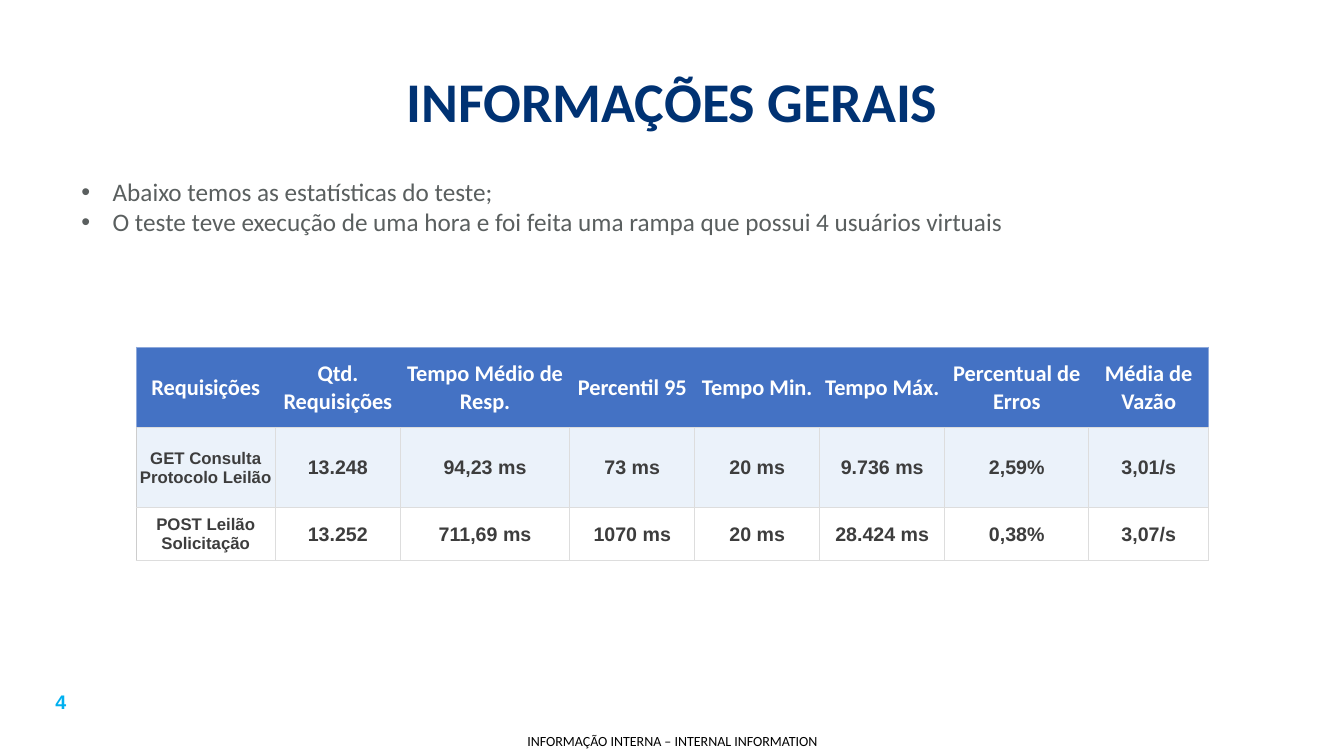
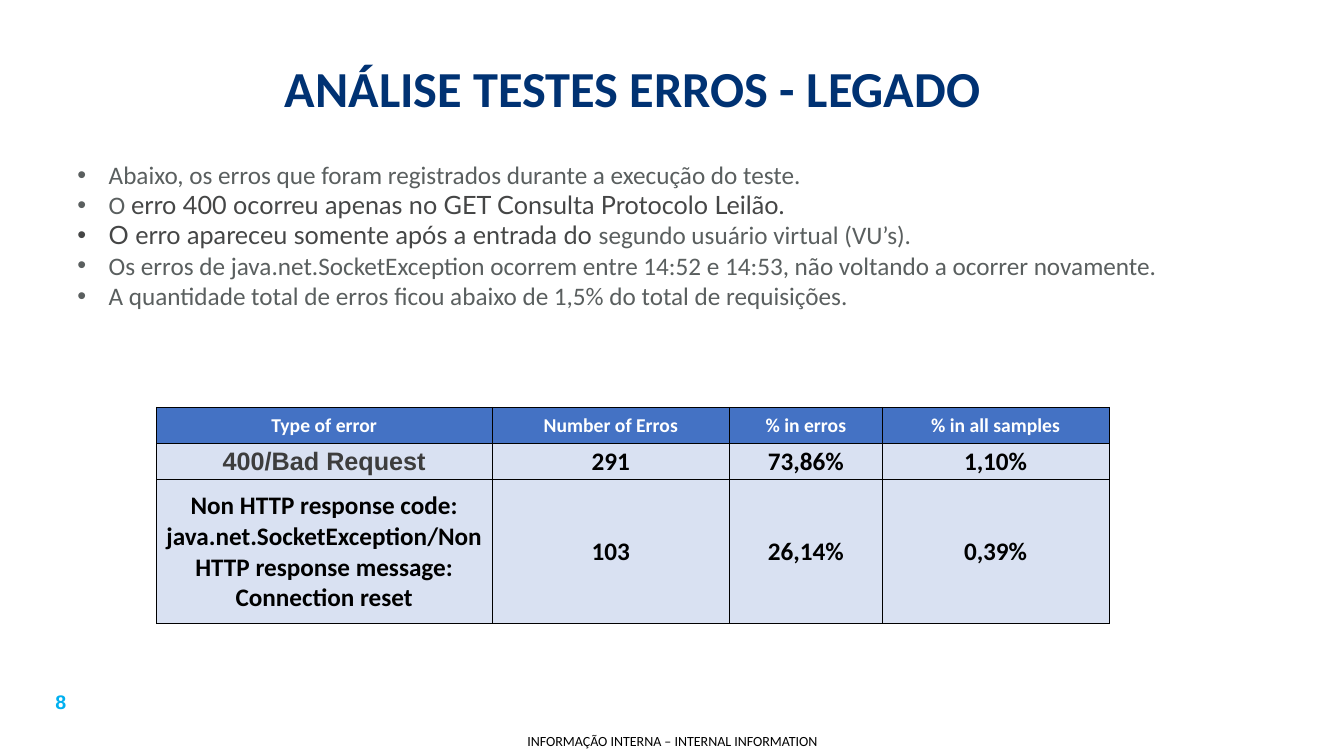
"""Builds two load-test report slides with bullets and result tables."""
from lxml.etree import SubElement
from pptx import Presentation
from pptx.dml.color import RGBColor
from pptx.enum.text import MSO_ANCHOR, MSO_AUTO_SIZE, PP_ALIGN
from pptx.oxml.ns import qn
from pptx.util import Cm, Pt

CENTER, LEFT = PP_ALIGN.CENTER, PP_ALIGN.LEFT
TOP, MIDDLE = MSO_ANCHOR.TOP, MSO_ANCHOR.MIDDLE
GROW, FIXED = MSO_AUTO_SIZE.SHAPE_TO_FIT_TEXT, MSO_AUTO_SIZE.NONE

WHITE = RGBColor(0xFF, 0xFF, 0xFF)
BLACK = RGBColor(0x00, 0x00, 0x00)
NAVY = RGBColor(0x00, 0x32, 0x73)
CYAN = RGBColor(0x00, 0xB0, 0xF0)
GRAY = RGBColor(0x5A, 0x5F, 0x5F)
DARK_GRAY = RGBColor(0x45, 0x46, 0x46)
CHARCOAL = RGBColor(0x3D, 0x3D, 0x3D)
HEADER_BLUE = RGBColor(0x44, 0x72, 0xC4)
EDGE_BLUE = RGBColor(0x8E, 0xA9, 0xDB)
PALE_BLUE = RGBColor(0xEB, 0xF2, 0xFA)
LIGHT_BLUE = RGBColor(0xD9, 0xE1, 0xF2)
GRID_GRAY = RGBColor(0xDD, 0xDD, 0xDD)
LEFT_GRAY = RGBColor(0xCD, 0xCD, 0xCD)


def font_style(name, size, color, bold=False):
    """Return the format values of one kind of text."""
    return {"name": name, "size": Pt(size), "color": color, "bold": bold}


PAGE_NUMBER = font_style("Arial", 14, CYAN, True)
FOOTER = font_style("Calibri", 10, BLACK)
BODY = font_style("Calibri", 18, GRAY)
BODY_LATO = font_style("Lato", 18, DARK_GRAY)
STATS_HEADER = font_style("Calibri", 16, WHITE, True)
STATS_LABEL = font_style("Arial", 12, CHARCOAL, True)
STATS_VALUE = font_style("Arial", 14, CHARCOAL, True)
ERROR_HEADER = font_style("Calibri", 14, WHITE, True)
ERROR_LABEL = font_style("Arial", 18, CHARCOAL, True)
ERROR_VALUE = font_style("Calibri", 18, BLACK, True)

FOOTER_TEXT = "INFORMAÇÃO INTERNA – INTERNAL INFORMATION"
PAGE_NUMBER_BOX = (0.53, 17.27, 2.01, 0.86)
FOOTER_BOX = (12.78, 18.31, 8.33, 0.74)

SLIDES = [
    {
        "number": "4",
        "title": "INFORMAÇÕES GERAIS",
        "title_size": 40,
        "title_box": (9.37, 1.24, 15.14, 2.57),
        "bullets_box": (1.8, 4.32, 30.48, 1.8),
        "bullets": [
            [("Abaixo temos as estatísticas do teste;", BODY)],
            [("O teste teve execução de uma hora e foi feita uma rampa que "
              "possui 4 usuários virtuais", BODY)],
        ],
        "table": {
            "corner": (3.43, 8.74),
            "widths": (3.51, 3.15, 4.27, 3.15, 3.15, 3.15, 3.63, 3.02),
            "heights": (2.03, 2.01, 1.35),
            "grid": (GRID_GRAY, 1),
            "left_edge": (LEFT_GRAY, 1),
            "header_edge": (EDGE_BLUE, 0.5),
            "rows": [
                (HEADER_BLUE, STATS_HEADER, STATS_HEADER,
                 ("Requisições", "Qtd. Requisições", "Tempo Médio de Resp.",
                  "Percentil 95", "Tempo Min.", "Tempo Máx.",
                  "Percentual de Erros", "Média de Vazão")),
                (PALE_BLUE, STATS_LABEL, STATS_VALUE,
                 ("GET Consulta Protocolo Leilão", "13.248", "94,23 ms",
                  "73 ms", "20 ms", "9.736 ms", "2,59%", "3,01/s")),
                (WHITE, STATS_LABEL, STATS_VALUE,
                 ("POST Leilão Solicitação", "13.252", "711,69 ms",
                  "1070 ms", "20 ms", "28.424 ms", "0,38%", "3,07/s")),
            ],
        },
    },
    {
        "number": "8",
        "title": "ANÁLISE TESTES ERROS - LEGADO",
        "title_size": 36,
        "title_box": (6.35, 0.91, 19.2, 2.57),
        "bullets_box": (1.7, 3.89, 30.48, 4.88),
        "bullets": [
            [("Abaixo, os erros que foram registrados durante a execução do "
              "teste.", BODY)],
            [("O ", BODY),
             ("erro 400 ocorreu apenas no GET Consulta Protocolo Leilão.",
              BODY_LATO)],
            [("O erro apareceu somente após a entrada do ", BODY_LATO),
             ("segundo usuário virtual (VU’s).", BODY)],
            [("Os erros de java.net.SocketException ocorrem entre 14:52 e "
              "14:53, não voltando a ocorrer novamente.", BODY)],
            [("A quantidade total de erros ficou abaixo de 1,5% do total de "
              "requisições.", BODY)],
        ],
        "table": {
            "corner": (3.94, 10.26),
            "widths": (8.46, 5.99, 3.84, 5.72),
            "heights": (0.91, 0.91, 3.63),
            "grid": (BLACK, 0.5),
            "rows": [
                (HEADER_BLUE, ERROR_HEADER, ERROR_HEADER,
                 ("Type of error", "Number of Erros", "% in erros",
                  "% in all samples")),
                (LIGHT_BLUE, ERROR_LABEL, ERROR_VALUE,
                 ("400/Bad Request", "291", "73,86%", "1,10%")),
                (LIGHT_BLUE, ERROR_VALUE, ERROR_VALUE,
                 ("Non HTTP response code: java.net.SocketException/Non HTTP "
                  "response message: Connection reset",
                  "103", "26,14%", "0,39%")),
            ],
        },
    },
]


def add_run(paragraph, text, style):
    """Add text to a paragraph in the given style."""
    run = paragraph.add_run()
    run.text = text
    for key, value in style.items():
        if key == "color":
            run.font.color.rgb = value
        else:
            setattr(run.font, key, value)


def add_text(slide, box, paragraphs, align=CENTER, anchor=TOP, size_mode=GROW,
             inset=None, bulleted=False):
    """Add a text box whose paragraphs are lists of (text, style) runs."""
    frame = slide.shapes.add_textbox(*map(Cm, box)).text_frame
    layout = {"word_wrap": True, "auto_size": size_mode,
              "vertical_anchor": anchor}
    if inset is not None:
        for side in ("left", "top", "right", "bottom"):
            layout[f"margin_{side}"] = Cm(inset)
    for key, value in layout.items():
        setattr(frame, key, value)
    for index, runs in enumerate(paragraphs):
        paragraph = frame.add_paragraph() if index else frame.paragraphs[0]
        paragraph.alignment = align
        if bulleted:
            add_bullet(paragraph)
        for text, style in runs:
            add_run(paragraph, text, style)


def add_bullet(paragraph):
    """Give a paragraph a round bullet with a hanging indent."""
    properties = paragraph._p.get_or_add_pPr()
    indent = Cm(0.79)
    properties.set("marL", str(int(indent)))
    properties.set("indent", str(-int(indent)))
    SubElement(properties, qn("a:buFont"), typeface="Arial")
    SubElement(properties, qn("a:buChar"), char="•")


def cell_edges(table_data, row, column):
    """Return the line of each side of a cell, None for no line."""
    grid = table_data["grid"]
    edges = dict.fromkeys("LRTB", grid)
    header_edge = table_data.get("header_edge")
    last = len(table_data["widths"]) - 1
    if row == 0 and header_edge:
        edges.update(L=header_edge if column == 0 else None,
                     R=header_edge if column == last else None,
                     T=header_edge)
    elif column == 0:
        edges["L"] = table_data.get("left_edge", grid)
    return edges


def draw_edges(cell, edges):
    """Write the border lines of a cell."""
    properties = cell._tc.get_or_add_tcPr()
    for side, edge in edges.items():
        line = SubElement(properties, qn(f"a:ln{side}"))
        if edge is None:
            SubElement(line, qn("a:noFill"))
            continue
        color, width = edge
        line.set("w", str(int(Pt(width))))
        fill = SubElement(line, qn("a:solidFill"))
        SubElement(fill, qn("a:srgbClr"), val=str(color))


def add_results(slide, table_data):
    """Add a results table."""
    widths, heights = table_data["widths"], table_data["heights"]
    box = (*table_data["corner"], sum(widths), sum(heights))
    table = slide.shapes.add_table(len(heights), len(widths),
                                   *map(Cm, box)).table
    table.horz_banding = False
    for column, width in zip(table.columns, widths):
        column.width = Cm(width)
    for row, height in zip(table.rows, heights):
        row.height = Cm(height)
    cell_format = {"margin_left": Cm(0.03), "margin_top": Cm(0.03),
                   "margin_right": Cm(0.03), "margin_bottom": 0,
                   "vertical_anchor": MIDDLE}
    for r, (fill, label_style, value_style, texts) in enumerate(table_data["rows"]):
        for c, text in enumerate(texts):
            cell = table.cell(r, c)
            for key, value in cell_format.items():
                setattr(cell, key, value)
            draw_edges(cell, cell_edges(table_data, r, c))
            cell.fill.solid()
            cell.fill.fore_color.rgb = fill
            paragraph = cell.text_frame.paragraphs[0]
            paragraph.alignment = CENTER
            add_run(paragraph, text, value_style if c else label_style)


def add_report_slide(deck, content):
    """Add one slide with its title, bullets, table and footers."""
    slide = deck.slides.add_slide(deck.slide_layouts[6])
    title_style = font_style("Calibri", content["title_size"], NAVY, True)
    add_text(slide, PAGE_NUMBER_BOX, [[(content["number"], PAGE_NUMBER)]])
    add_text(slide, FOOTER_BOX, [[(FOOTER_TEXT, FOOTER)]], anchor=MIDDLE,
             inset=0)
    add_text(slide, content["title_box"], [[(content["title"], title_style)]],
             anchor=MIDDLE, size_mode=FIXED)
    add_text(slide, content["bullets_box"], content["bullets"], align=LEFT,
             bulleted=True)
    add_results(slide, content["table"])


def main():
    """Build and save the deck."""
    deck = Presentation()
    deck.slide_width, deck.slide_height = Cm(33.87), Cm(19.05)
    for content in SLIDES:
        add_report_slide(deck, content)
    deck.save("out.pptx")


if __name__ == "__main__":
    main()
